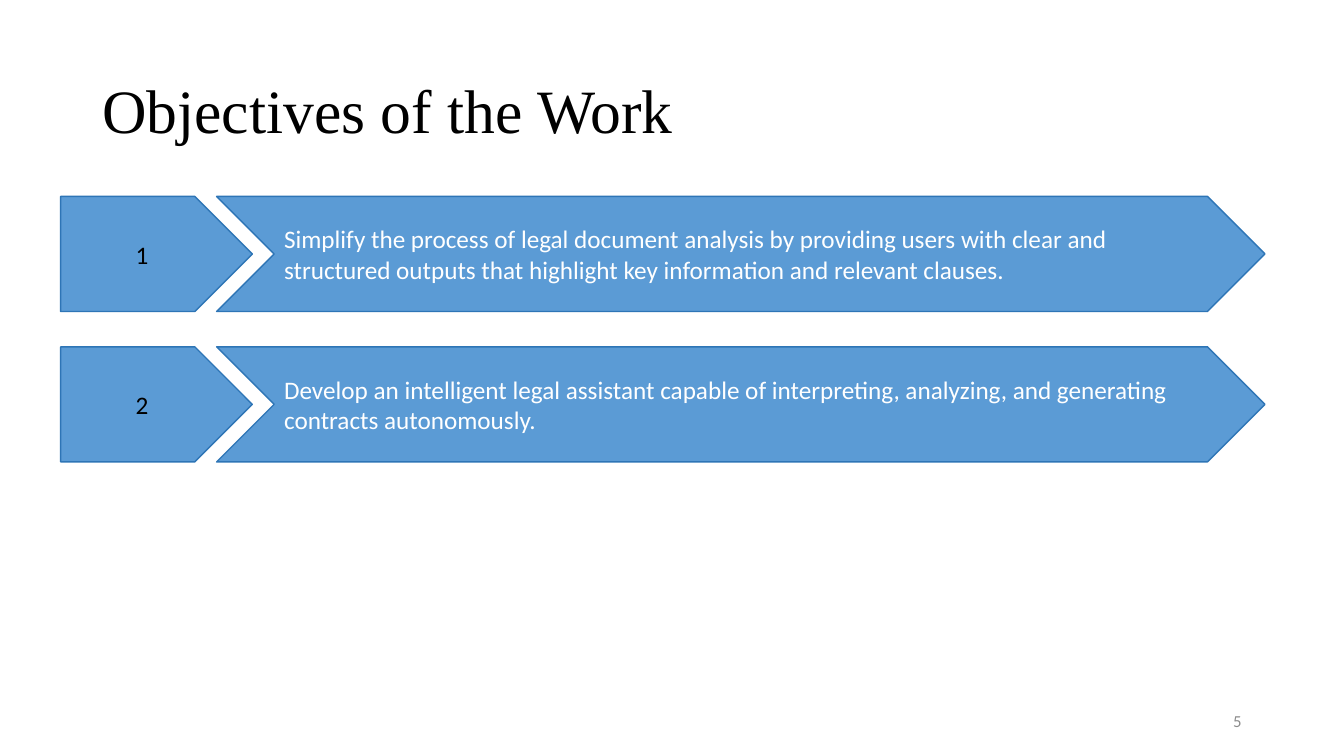
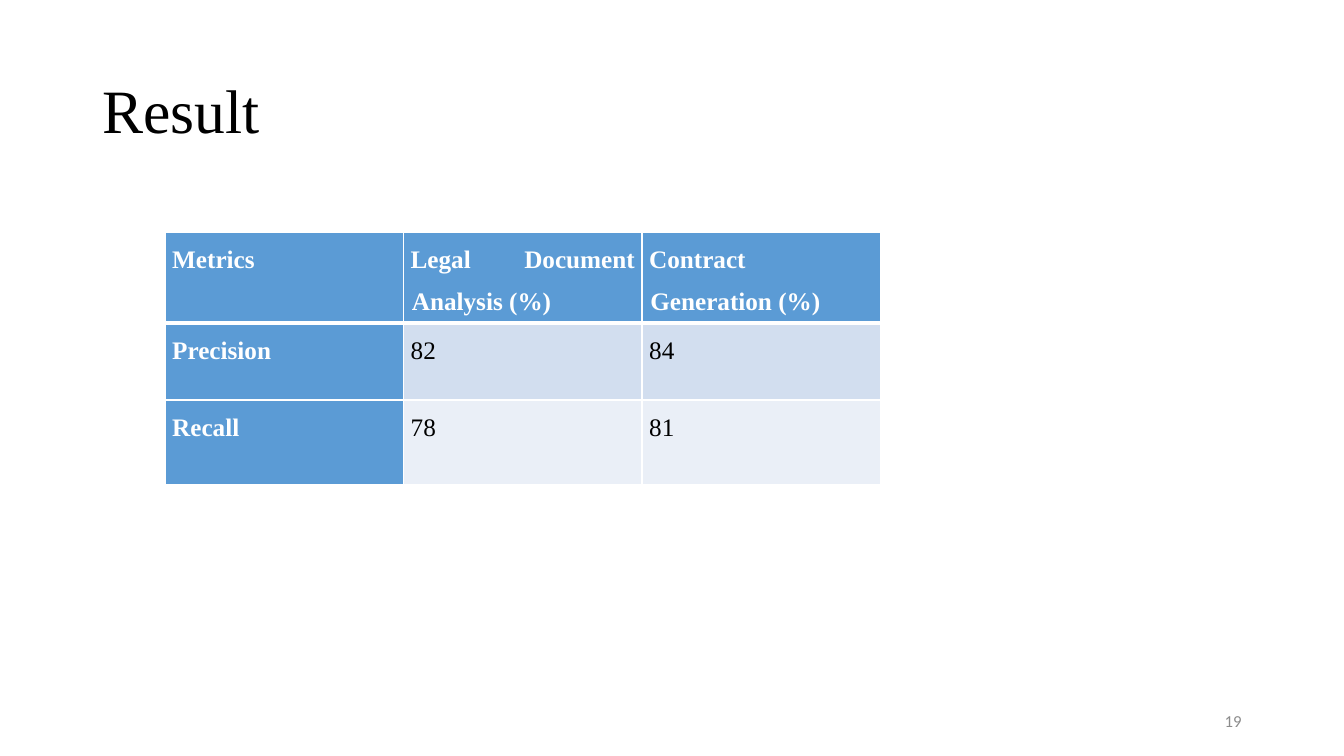
from dataclasses import dataclass

from lxml.etree import SubElement
from pptx import Presentation
from pptx.dml.color import RGBColor as Rgb
from pptx.enum.shapes import MSO_SHAPE as Shape
from pptx.enum.text import MSO_ANCHOR as Anchor, PP_ALIGN as Align
from pptx.oxml.ns import qn
from pptx.util import Cm, Pt


@dataclass(frozen=True)
class Theme:
    """Colours, fonts and type sizes shared by the slides."""
    blue: str = "5B9BD5"
    outline: str = "2E75B6"
    bands: tuple = ("D2DEEF", "EAEFF7")
    black: str = "000000"
    white: str = "FFFFFF"
    grey: str = "8C8C8C"
    serif: str = "Times New Roman"
    sans: str = "Calibri"
    title_size: int = 44
    body_size: int = 18
    number_size: int = 12


THEME = Theme()

OBJECTIVES = (
    "Simplify the process of legal document analysis by providing users with "
    "clear and structured outputs that highlight key information and relevant clauses.",
    "Develop an intelligent legal assistant capable of interpreting, analyzing, "
    "and generating contracts autonomously.",
)
RESULTS = (
    ("Metrics", "Legal Document Analysis (%)", "Contract Generation (%)"),
    ("Precision", "82", "84"),
    ("Recall", "78", "81"),
)


def write(frame, text, *, size=THEME.body_size, font=THEME.sans, color=THEME.black,
          bold=False, align=Align.LEFT, spacing=1.0, after=0, hanging=0):
    """Fill a text frame with one formatted paragraph."""
    frame.word_wrap = True
    para = frame.paragraphs[0]
    para.alignment = align
    para.line_spacing = spacing
    para.space_after = Pt(after)
    if hanging:
        properties = para._p.get_or_add_pPr()
        properties.set("marL", str(Cm(hanging)))
        properties.set("indent", str(-Cm(hanging)))
    span = para.add_run()
    span.text = text
    span.font.size = Pt(size)
    span.font.name = font
    span.font.bold = bold
    span.font.color.rgb = Rgb.from_string(color)


def add_label(page, text, left, top, width, height, **style):
    """Add a vertically centred text box."""
    box = page.shapes.add_textbox(Cm(left), Cm(top), Cm(width), Cm(height))
    box.text_frame.vertical_anchor = Anchor.MIDDLE
    write(box.text_frame, text, **style)


def add_page(deck, title, number):
    """Add a blank slide with its title and slide number."""
    page = deck.slides.add_slide(deck.slide_layouts[6])
    add_label(page, title, 2.33, 1.01, 29.21, 3.68, size=THEME.title_size,
              font=THEME.serif, spacing=0.9)
    add_label(page, str(number), 23.92, 17.65, 7.62, 1.01, size=THEME.number_size,
              color=THEME.grey, align=Align.RIGHT)
    return page


def add_arrow(page, kind, text, left, top, width, **style):
    """Add a blue arrow block with text."""
    arrow = page.shapes.add_shape(kind, Cm(left), Cm(top), Cm(width), Cm(2.9))
    arrow.shadow.inherit = False
    arrow.fill.solid()
    arrow.fill.fore_color.rgb = Rgb.from_string(THEME.blue)
    arrow.line.color.rgb = Rgb.from_string(THEME.outline)
    arrow.line.width = Pt(1)
    arrow.text_frame.vertical_anchor = Anchor.MIDDLE
    write(arrow.text_frame, text, **style)


def add_objectives(page, objectives):
    """Stack numbered arrow pairs at an even pitch."""
    for index, objective in enumerate(objectives):
        top = 4.95 + 3.79 * index
        add_arrow(page, Shape.PENTAGON, str(index + 1), 1.53, top, 4.83,
                  align=Align.CENTER)
        add_arrow(page, Shape.CHEVRON, objective, 5.46, top, 26.42, color=THEME.white)


def set_borders(cell, top, bottom):
    """Draw white borders round a cell, with top and bottom widths in points."""
    properties = cell._tc.get_or_add_tcPr()
    for side, width in (("L", 1), ("R", 1), ("T", top), ("B", bottom)):
        line = SubElement(properties, qn(f"a:ln{side}"), w=str(Pt(width)))
        fill = SubElement(line, qn("a:solidFill"))
        SubElement(fill, qn("a:srgbClr"), val=THEME.white)


def fill_cell(cell, text, row, column):
    """Format one cell as a heading or a banded value."""
    heading = row == 0 or column == 0
    set_borders(cell, top=3 if row == 1 else 1, bottom=3 if row == 0 else 1)
    cell.fill.solid()
    color = THEME.blue if heading else THEME.bands[(row - 1) % 2]
    cell.fill.fore_color.rgb = Rgb.from_string(color)
    cell.margin_left = cell.margin_right = Cm(0.18)
    cell.margin_top = cell.margin_bottom = 0
    write(cell.text_frame, text, font=THEME.serif, bold=heading,
          color=THEME.white if heading else THEME.black,
          align=Align.JUSTIFY, spacing=1.5, after=6, hanging=0.03)


def add_results(page, results):
    """Add the table of metrics."""
    heights = (2.13, 1.93, 2.13)
    columns = len(results[0])
    table = page.shapes.add_table(len(results), columns, Cm(4.16), Cm(5.86),
                                  Cm(6.01 * columns), Cm(sum(heights))).table
    for row, (height, texts) in enumerate(zip(heights, results)):
        table.rows[row].height = Cm(height)
        for column, text in enumerate(texts):
            fill_cell(table.cell(row, column), text, row, column)


def main():
    """Build and save the deck."""
    deck = Presentation()
    deck.slide_width, deck.slide_height = Cm(33.87), Cm(19.05)
    add_objectives(add_page(deck, "Objectives of the Work", 5), OBJECTIVES)
    add_results(add_page(deck, "Result", 19), RESULTS)
    deck.save("out.pptx")


if __name__ == "__main__":
    main()
